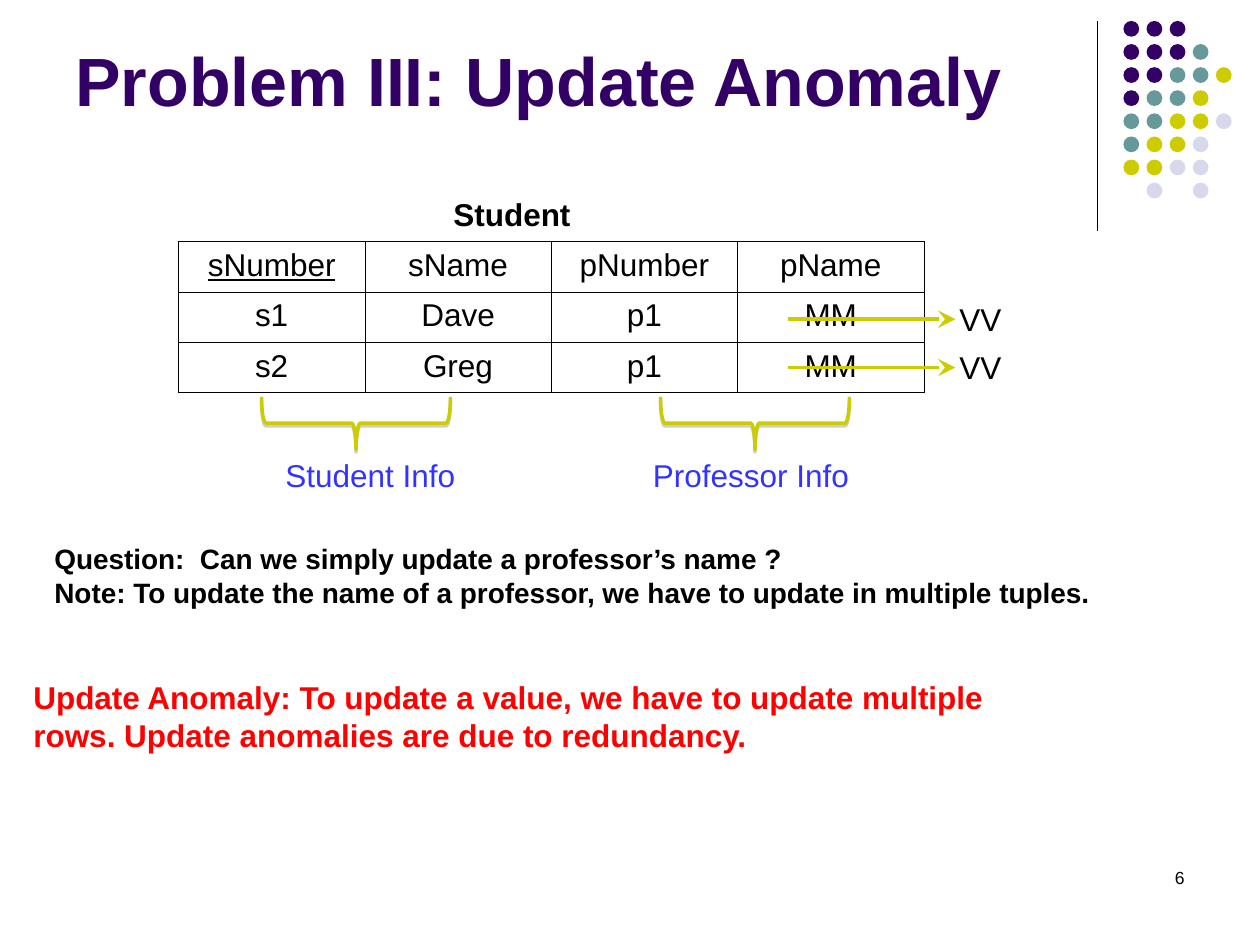
from dataclasses import dataclass

from pptx import Presentation
from pptx.dml.color import RGBColor
from pptx.enum.shapes import MSO_CONNECTOR, MSO_SHAPE
from pptx.enum.text import MSO_ANCHOR, MSO_AUTO_SIZE, PP_ALIGN
from pptx.oxml import parse_xml
from pptx.oxml.ns import nsdecls
from pptx.util import Inches, Pt

SLIDE_WIDTH, SLIDE_HEIGHT = Inches(10), Inches(7.5)
COLUMNS, ROWS = 120, 90
BLACK, PURPLE, TEAL, OLIVE, LAVENDER = "000000", "330066", "669999", "CCCC00", "D8D8EC"
BLUE, RED = "3333FF", "FF0000"
DOT_COLORS = {"P": PURPLE, "T": TEAL, "Y": OLIVE, "L": LAVENDER}
DOT_PATTERN = ("PPP", "PPPT", "PPTTY", "PTTY", "TTYYL", "TYYL", "YYLL", " L L")
STUDENTS = (
    ("sNumber", "sName", "pNumber", "pName"),
    ("s1", "Dave", "p1", "MM"),
    ("s2", "Greg", "p1", "MM"),
)


@dataclass(frozen=True)
class Box:
    """An area in grid columns and rows."""

    column: float
    row: float
    width: float
    height: float

    def emu(self) -> tuple[int, int, int, int]:
        """Return left, top, width and height in slide units."""
        return across(self.column), down(self.row), across(self.width), down(self.height)


@dataclass(frozen=True)
class InfoGroup:
    """A brace under two table columns and its label."""

    label: str
    brace_column: float
    label_box: Box


@dataclass(frozen=True)
class NameUpdate:
    """A new professor name and the row its arrow runs along."""

    name: str
    row: float


INFO_GROUPS = (
    InfoGroup("Student Info", 31.4, Box(26, 42.8, 19, 4.8)),
    InfoGroup("Professor Info", 69.4, Box(61, 42.8, 22, 4.8)),
)
NAME_UPDATES = (NameUpdate("VV", 35), NameUpdate("VV", 30.4))


def across(columns: float) -> int:
    """Convert grid columns to slide units."""
    return round(SLIDE_WIDTH * columns / COLUMNS)


def down(rows: float) -> int:
    """Convert grid rows to slide units."""
    return round(SLIDE_HEIGHT * rows / ROWS)


def rgb(code: str) -> RGBColor:
    """Turn a hex string into a colour."""
    return RGBColor.from_string(code)


def write(frame, text: str, *, size: float = 18, color: str = BLACK, bold: bool = False,
          underline: bool = False, align=PP_ALIGN.LEFT) -> None:
    """Fill a text frame with one paragraph per line of text."""
    frame.text = text
    for paragraph in frame.paragraphs:
        paragraph.alignment = align
        font = paragraph.runs[0].font
        font.name, font.size = "Arial", Pt(size)
        font.bold, font.underline = bold, underline
        font.color.rgb = rgb(color)


def add_text(slide, box: Box, text: str, *, wrap: bool = True, grow: bool = True,
             anchor=MSO_ANCHOR.TOP, **style) -> None:
    """Add a text box."""
    frame = slide.shapes.add_textbox(*box.emu()).text_frame
    frame.word_wrap = wrap
    frame.auto_size = MSO_AUTO_SIZE.SHAPE_TO_FIT_TEXT if grow else MSO_AUTO_SIZE.NONE
    frame.vertical_anchor = anchor
    write(frame, text, **style)


def add_line(slide, start: tuple[float, float], end: tuple[float, float], color: str,
             width: float, arrow: bool = False) -> None:
    """Add a straight line, with an optional arrowhead at its start."""
    line = slide.shapes.add_connector(
        MSO_CONNECTOR.STRAIGHT, across(start[0]), down(start[1]), across(end[0]), down(end[1]))
    line.line.color.rgb, line.line.width = rgb(color), Pt(width)
    if arrow:
        line.line._get_or_add_ln().append(
            parse_xml(f'<a:headEnd {nsdecls("a")} type="stealth" w="lg" len="lg"/>'))
    line._element.spPr.append(parse_xml(f'<a:effectLst {nsdecls("a")}/>'))


def add_dots(slide, column: float, row: float, pitch: float, size: float) -> None:
    """Draw the decorative dot grid."""
    for row_index, pattern in enumerate(DOT_PATTERN):
        for column_index, key in enumerate(pattern):
            if key not in DOT_COLORS:
                continue
            place = Box(column + column_index * pitch, row + row_index * pitch, size, size)
            dot = slide.shapes.add_shape(MSO_SHAPE.OVAL, *place.emu())
            dot.shadow.inherit = False
            dot.fill.solid()
            dot.fill.fore_color.rgb = rgb(DOT_COLORS[key])
            dot.line.fill.background()


def add_brace(slide, box: Box) -> None:
    """Add a brace that points down, with a soft grey shadow."""
    brace = slide.shapes.add_shape(MSO_SHAPE.RIGHT_BRACE, *box.emu())
    brace.rotation = 90
    brace.fill.background()
    brace.line.color.rgb, brace.line.width = rgb(OLIVE), Pt(2)
    brace._element.spPr.append(parse_xml(
        f'<a:effectLst {nsdecls("a")}><a:outerShdw blurRad="0" dist="{Pt(1.6)}" '
        'dir="5400000" rotWithShape="0"><a:srgbClr val="808080"><a:alpha val="38000"/>'
        '</a:srgbClr></a:outerShdw></a:effectLst>'))


def add_border(cell) -> None:
    """Give a table cell thin black borders."""
    properties = cell._tc.get_or_add_tcPr()
    for side in ("lnL", "lnR", "lnT", "lnB"):
        properties.append(parse_xml(
            f'<a:{side} {nsdecls("a")} w="{Pt(0.45)}"><a:solidFill>'
            f'<a:srgbClr val="{BLACK}"/></a:solidFill></a:{side}>'))


def add_student_table(slide, box: Box) -> None:
    """Add the student table with its key column underlined."""
    table = slide.shapes.add_table(len(STUDENTS), len(STUDENTS[0]), *box.emu()).table
    table.first_row = table.horz_banding = False
    for row_index, values in enumerate(STUDENTS):
        for column_index, value in enumerate(values):
            cell = table.cell(row_index, column_index)
            add_border(cell)
            cell.fill.background()
            write(cell.text_frame, value, underline=value == "sNumber", align=PP_ALIGN.CENTER)


def main() -> None:
    """Build the slide and save it."""
    deck = Presentation()
    deck.slide_width, deck.slide_height = SLIDE_WIDTH, SLIDE_HEIGHT
    slide = deck.slides.add_slide(deck.slide_layouts[6])

    add_line(slide, (104.5, 2), (104.5, 22), BLACK, 0.75)
    add_dots(slide, 107, 2, 2.2, 1.5)
    add_text(slide, Box(6, 1.5, 99, 10.5), "Problem III: Update Anomaly", size=39,
             color=PURPLE, bold=True, grow=False, anchor=MSO_ANCHOR.BOTTOM)
    add_text(slide, Box(4, 51, 107, 7.7),
             "Question:  Can we simply update a professor’s name ?\n"
             "Note: To update the name of a professor, we have to update in multiple tuples.",
             size=16, bold=True)
    add_text(slide, Box(2, 64, 96, 12),
             "Update Anomaly: To update a value, we have to update multiple rows. "
             "Update anomalies are due to redundancy.", color=RED, bold=True)

    add_student_table(slide, Box(17, 23, 71, 14.4))
    add_text(slide, Box(42, 18, 14.5, 4.8), "Student", wrap=False, bold=True)
    for group in INFO_GROUPS:
        add_brace(slide, Box(group.brace_column, 31.3, 5, 18))
        add_text(slide, group.label_box, group.label, wrap=False, color=BLUE)
    for update in NAME_UPDATES:
        add_line(slide, (91, update.row), (75, update.row), OLIVE, 2, arrow=True)
        add_text(slide, Box(90.2, update.row - 2.4, 7, 4.8), update.name, wrap=False)
    add_text(slide, Box(86, 82, 28, 6), "6", size=10, grow=False, align=PP_ALIGN.RIGHT)

    deck.save("out.pptx")


if __name__ == "__main__":
    main()
